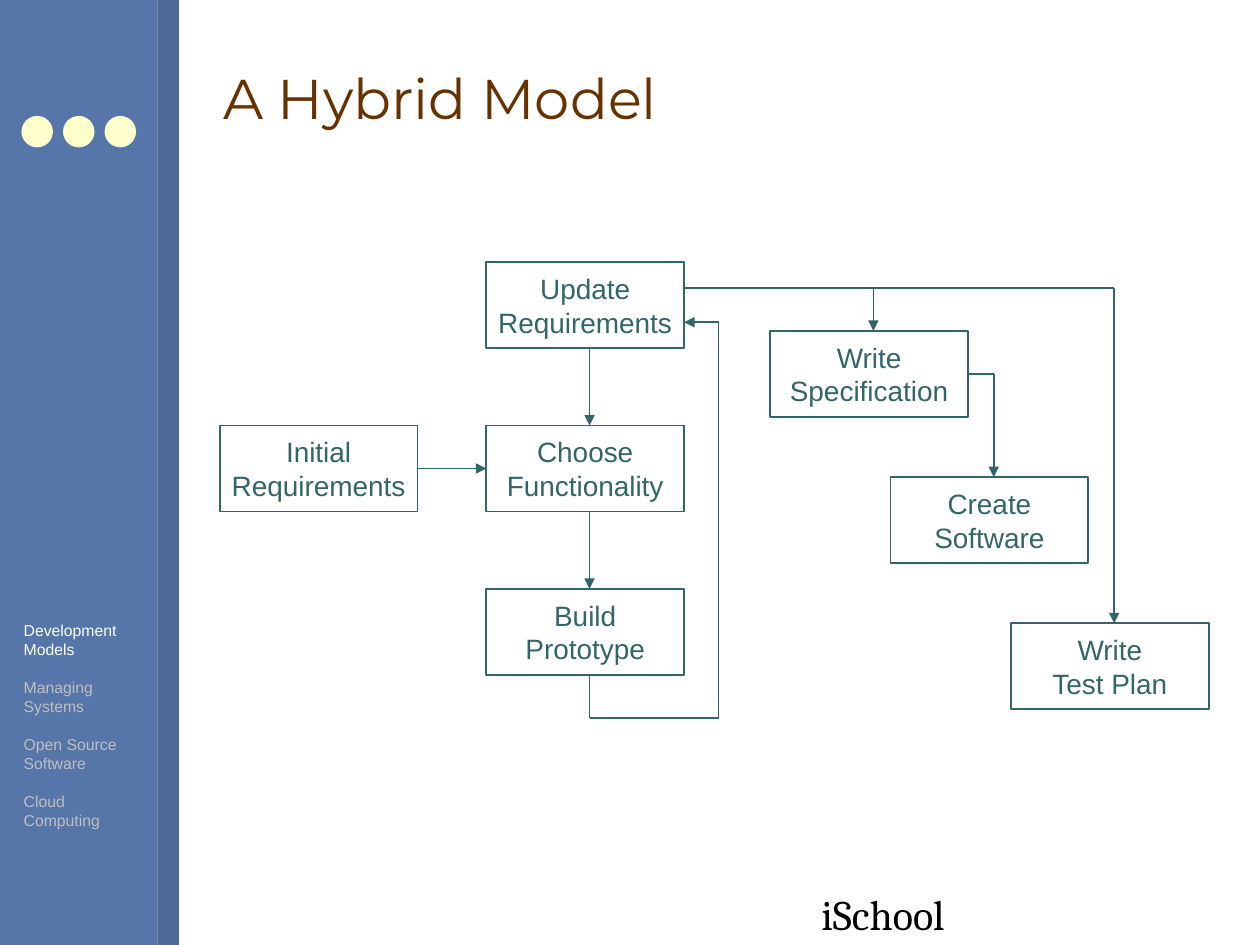
from dataclasses import dataclass

from lxml import etree
from pptx import Presentation
from pptx.dml.color import RGBColor
from pptx.enum.shapes import MSO_CONNECTOR, MSO_SHAPE
from pptx.enum.text import MSO_ANCHOR, MSO_AUTO_SIZE, PP_ALIGN
from pptx.oxml.ns import qn
from pptx.util import Inches, Pt

RECTANGLE, OVAL = MSO_SHAPE.RECTANGLE, MSO_SHAPE.OVAL
STRAIGHT = MSO_CONNECTOR.STRAIGHT
CENTER, LEFT = PP_ALIGN.CENTER, PP_ALIGN.LEFT
MIDDLE = MSO_ANCHOR.MIDDLE
NO_AUTO_SIZE = MSO_AUTO_SIZE.NONE
LEFT_SIDE, RIGHT_SIDE = 1, 3


@dataclass(frozen=True)
class Theme:
    sidebar: RGBColor = RGBColor.from_string("5675A9")
    stripe: RGBColor = RGBColor.from_string("4D6997")
    dot: RGBColor = RGBColor.from_string("FFFFCC")
    title: RGBColor = RGBColor.from_string("663300")
    diagram: RGBColor = RGBColor.from_string("336666")
    brand: RGBColor = RGBColor.from_string("000000")
    active: RGBColor = RGBColor.from_string("FFFFFF")
    inactive: RGBColor = RGBColor.from_string("BFBFBF")
    title_size: Pt = Pt(32)
    brand_size: Pt = Pt(24)
    box_size: Pt = Pt(16)
    agenda_size: Pt = Pt(9)
    agenda_gap: Pt = Pt(10.9)
    line_width: Pt = Pt(1)


THEME = Theme()

# The flowchart grid starts at the top left corner of "Update Requirements".
GRID_LEFT, GRID_TOP = 3.86, 2.08
BOX_COLUMNS, BOX_ROWS = 23, 10
UNIT = 1.57 / BOX_COLUMNS


def grid_point(column, row):
    return Inches(GRID_LEFT + column * UNIT), Inches(GRID_TOP + row * UNIT)


def style_font(paragraph, name, size, color):
    paragraph.font.name = name
    paragraph.font.size = size
    paragraph.font.color.rgb = color


presentation = Presentation()
presentation.slide_width, presentation.slide_height = Inches(10), Inches(7.5)
slide = presentation.slides.add_slide(presentation.slide_layouts[5])
shapes = slide.shapes

# Sidebar with its stripe and three dots
decorations = [
    (RECTANGLE, 0, 0, 1.25, 7.5, THEME.sidebar),
    (RECTANGLE, 1.25, 0, 0.17, 7.5, THEME.stripe),
]
decorations += [(OVAL, 0.17 + 0.33 * index, 0.92, 0.25, 0.25, THEME.dot) for index in range(3)]
for kind, left, top, width, height, color in decorations:
    shape = shapes.add_shape(kind, Inches(left), Inches(top), Inches(width), Inches(height))
    shape.shadow.inherit = False
    shape.fill.solid()
    shape.fill.fore_color.rgb = color
    shape.line.fill.background()

# Title
title = shapes.title
title.left, title.top, title.width, title.height = Inches(1.67), Inches(0.21), Inches(8), Inches(1.13)
title.text_frame.text = "A Hybrid Model"
title.text_frame.vertical_anchor = MIDDLE
title.text_frame.auto_size = NO_AUTO_SIZE
title_paragraph = title.text_frame.paragraphs[0]
title_paragraph.alignment = LEFT
style_font(title_paragraph, "Montserrat", THEME.title_size, THEME.title)

# School name
brand = shapes.add_textbox(Inches(6.42), Inches(7), Inches(1.27), Inches(0.5))
brand.text_frame.word_wrap = False
brand.text_frame.text = "iSchool"
style_font(brand.text_frame.paragraphs[0], "Cambria", THEME.brand_size, THEME.brand)

# Flowchart boxes: text, column, row
steps = [
    ("Update\nRequirements", 0, 0),
    ("Choose\nFunctionality", 0, 19),
    ("Build\nPrototype", 0, 38),
    ("Initial\nRequirements", -31, 19),
    ("Write\nSpecification", 33, 8),
    ("Create\nSoftware", 47, 25),
    ("Write\nTest Plan", 61, 42),
]
boxes = {}
for text, column, row in steps:
    box = shapes.add_shape(
        RECTANGLE, *grid_point(column, row), Inches(BOX_COLUMNS * UNIT), Inches(BOX_ROWS * UNIT)
    )
    box.shadow.inherit = False
    box.fill.background()
    box.line.color.rgb = THEME.diagram
    box.line.width = THEME.line_width
    box.text_frame.word_wrap = False
    box.text_frame.vertical_anchor = MIDDLE
    box.text_frame.text = text
    for paragraph in box.text_frame.paragraphs:
        paragraph.alignment = CENTER
        style_font(paragraph, "Arial", THEME.box_size, THEME.diagram)
    boxes[text] = box

# Routes through grid points, and whether each ends in an arrowhead
routes = [
    ([(12, 10), (12, 19)], True),
    ([(12, 29), (12, 38)], True),
    ([(-8, 24), (0, 24)], True),
    ([(12, 48), (12, 53), (27, 53), (27, 7), (23, 7)], True),
    ([(23, 3), (73, 3)], False),
    ([(45, 3), (45, 8)], True),
    ([(56, 13), (59, 13), (59, 25)], True),
    ([(73, 3), (73, 42)], True),
]
side_starts = {
    (-8, 24): boxes["Initial\nRequirements"],
    (56, 13): boxes["Write\nSpecification"],
}
side_ends = {(0, 24): boxes["Choose\nFunctionality"]}
for points, has_arrow in routes:
    for start, end in zip(points, points[1:]):
        connector = shapes.add_connector(STRAIGHT, *grid_point(*start), *grid_point(*end))
        if start in side_starts:
            connector.begin_connect(side_starts[start], RIGHT_SIDE)
        if end in side_ends:
            connector.end_connect(side_ends[end], LEFT_SIDE)
        connector.line.color.rgb = THEME.diagram
        connector.line.width = THEME.line_width
        if has_arrow and end == points[-1]:
            line_xml = connector.line._get_or_add_ln()
            etree.SubElement(line_xml, qn("a:tailEnd"), type="triangle")
        etree.SubElement(connector._element.spPr, qn("a:effectLst"))

# Agenda in the sidebar, current topic first
topics = ["Development\vModels", "Managing\vSystems", "Open Source\vSoftware", "Cloud Computing"]
agenda = shapes.add_textbox(Inches(0.09), Inches(4.88), Inches(1.16), Inches(1.61))
agenda.text_frame.word_wrap = False
agenda.text_frame.text = "\n".join(topics)
for index, paragraph in enumerate(agenda.text_frame.paragraphs):
    if index:
        paragraph.space_before = THEME.agenda_gap
    style_font(paragraph, "Arial", THEME.agenda_size, THEME.inactive if index else THEME.active)

presentation.save("out.pptx")
